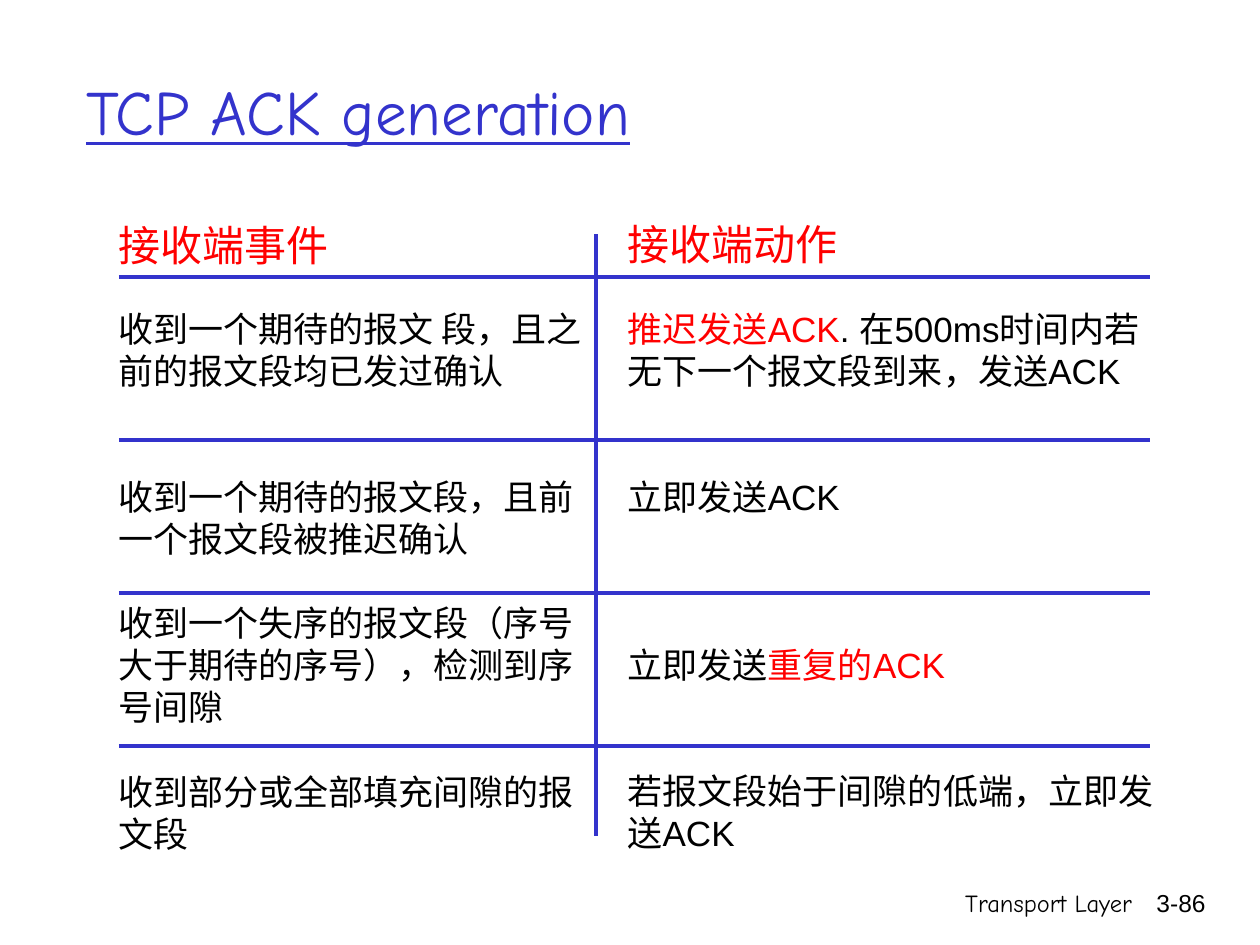
from lxml import etree
from pptx import Presentation
from pptx.dml.color import RGBColor
from pptx.enum.shapes import MSO_CONNECTOR
from pptx.enum.text import MSO_ANCHOR, MSO_AUTO_SIZE, PP_ALIGN
from pptx.oxml.ns import qn
from pptx.util import Pt

LINE = MSO_CONNECTOR.STRAIGHT
MIDDLE, TOP = MSO_ANCHOR.MIDDLE, MSO_ANCHOR.TOP
GROW = MSO_AUTO_SIZE.SHAPE_TO_FIT_TEXT
FIXED = MSO_AUTO_SIZE.NONE
LEFT, RIGHT = PP_ALIGN.LEFT, PP_ALIGN.RIGHT

COLORS = {"blue": "3333CC", "red": "FF0000", "black": "000000"}
HEAD, BODY = 24, 20
LEAD = 1.2  # line height as a multiple of text size
HEAD_GAP = 21.6
ROW = BODY * LEAD

# Each row: blank line heights above it, then its lines of (text, color) runs.
EVENTS = [
    (0, ["收到一个期待的报文 段，且之", "前的报文段均已发过确认"]),
    (2, ["收到一个期待的报文段，且前", "一个报文段被推迟确认"]),
    (1, ["收到一个失序的报文段（序号", "大于期待的序号），检测到序", "号间隙"]),
    (1, ["收到部分或全部填充间隙的报", "文段"]),
]
ACTIONS = [
    (0, [[("推迟发送ACK", "red"), (". 在500ms时间内若", "black")],
         "无下一个报文段到来，发送ACK"]),
    (2, ["立即发送ACK"]),
    (3, [[("立即发送", "black"), ("重复的ACK", "red")]]),
    (2, ["若报文段始于间隙的低端，立即发", "送ACK"]),
]


def add_run(para, text, size, color, font="Arial", **more):
    run = para.add_run()
    run.text = text
    form = {"size": Pt(size), "name": font, **more}
    for key, value in form.items():
        setattr(run.font, key, value)
    run.font.color.rgb = RGBColor.from_string(COLORS[color])


def set_frame(frame, **form):
    for key, value in form.items():
        setattr(frame, key, value)


def add_box(slide, box, **form):
    frame = slide.shapes.add_textbox(*map(Pt, box)).text_frame
    set_frame(frame, **form)
    return frame


def add_title(slide, box, text):
    title = slide.shapes.title
    title.left, title.top, title.width, title.height = map(Pt, box)
    frame = title.text_frame
    set_frame(frame, vertical_anchor=MIDDLE, word_wrap=True, auto_size=FIXED)
    para = frame.paragraphs[0]
    para.alignment = LEFT
    add_run(para, text, 36, "blue", "Comic Neue", underline=True)


def add_column(slide, box, head, rows):
    frame = add_box(slide, box, word_wrap=False, auto_size=GROW,
                    vertical_anchor=TOP)
    para = frame.paragraphs[0]
    para.line_spacing = Pt(HEAD * LEAD)
    add_run(para, head, HEAD, "red")
    for nth, (blanks, lines) in enumerate(rows):
        gap = blanks * ROW if nth else HEAD_GAP
        for line in lines:
            para = frame.add_paragraph()
            para.line_spacing = Pt(ROW)
            para.space_before = Pt(gap)
            gap = 0
            runs = [(line, "black")] if isinstance(line, str) else line
            for text, color in runs:
                add_run(para, text, BODY, color)


def add_line(slide, *ends):
    line = slide.shapes.add_connector(LINE, *map(Pt, ends))
    line.line.width = Pt(2.25)
    line.line.color.rgb = RGBColor.from_string(COLORS["blue"])
    etree.SubElement(line._element.spPr, qn("a:effectLst"))


def add_grid(slide, box):
    """Draw the row rules and the column divider."""
    left, top, width, height = box
    for drop in (24.5, 117.5, 205, 292.5):
        add_line(slide, left, top + drop, left + width, top + drop)
    mid = left + 272.5
    add_line(slide, mid, top, mid, top + height)


def add_table_area(slide, box):
    left, top, width, height = box
    add_column(slide, (left, top, 280, 413), "接收端事件", EVENTS)
    add_column(slide, (left + 291, top - 0.5, 326, 394), "接收端动作", ACTIONS)
    add_grid(slide, (left + 7.5, top + 12, width, height))


def add_footer(slide, box):
    left, top, width, height = box
    parts = [
        ("Transport Layer", "Comic Neue", left, 228),
        ("3-86", "Arial", left + width - 53, 53),
    ]
    for text, font, x, span in parts:
        frame = add_box(slide, (x, top, span, height), word_wrap=True)
        para = frame.paragraphs[0]
        para.alignment = RIGHT
        add_run(para, text, 14, "black", font)


def main():
    deck = Presentation()
    deck.slide_width, deck.slide_height = Pt(720), Pt(540)
    slide = deck.slides.add_slide(deck.slide_layouts[5])
    add_footer(slide, (426, 504, 270, 36))
    add_title(slide, (42, 18, 612, 90), "TCP ACK generation")
    add_table_area(slide, (60.5, 122, 589, 343.5))
    deck.save("out.pptx")


if __name__ == "__main__":
    main()
